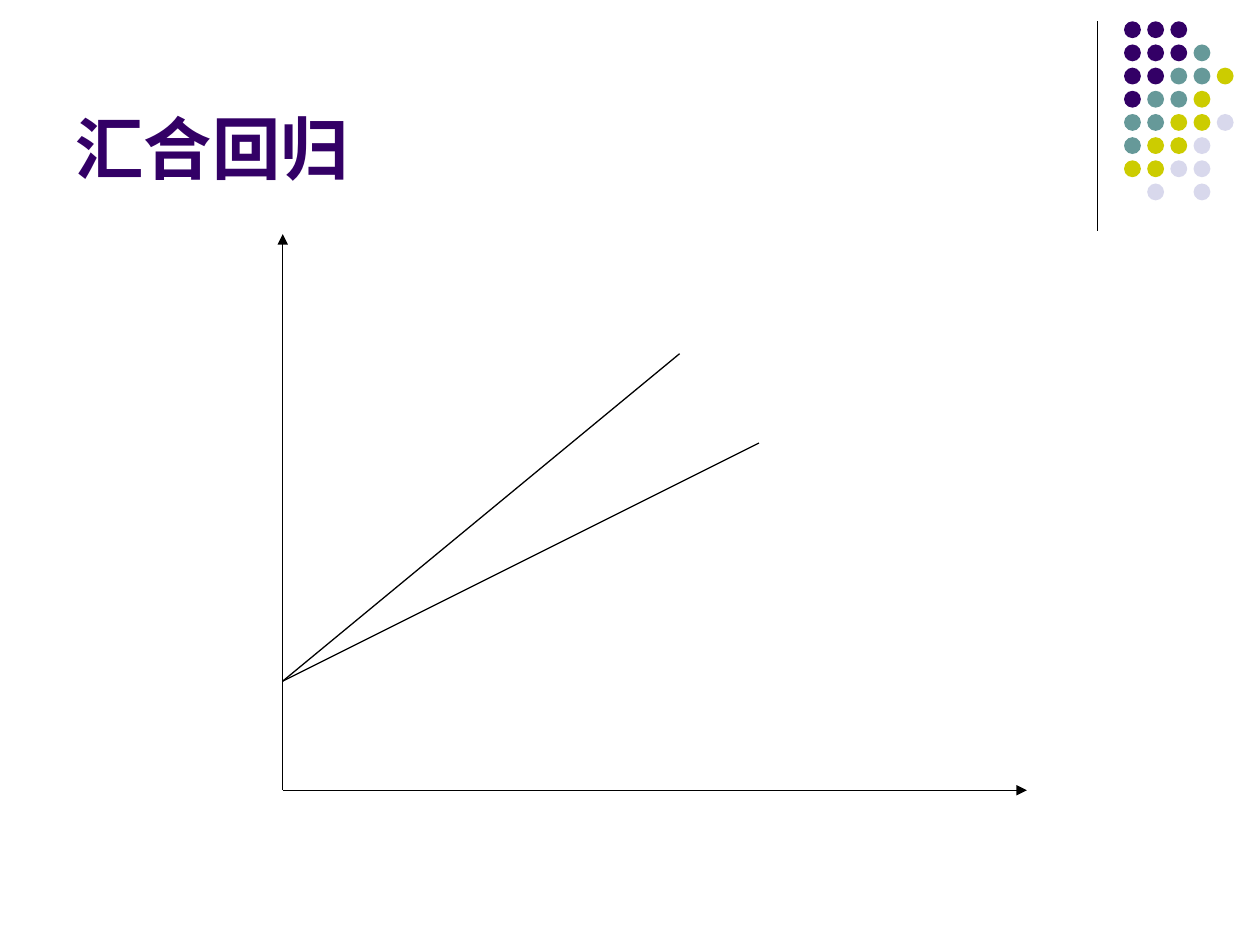
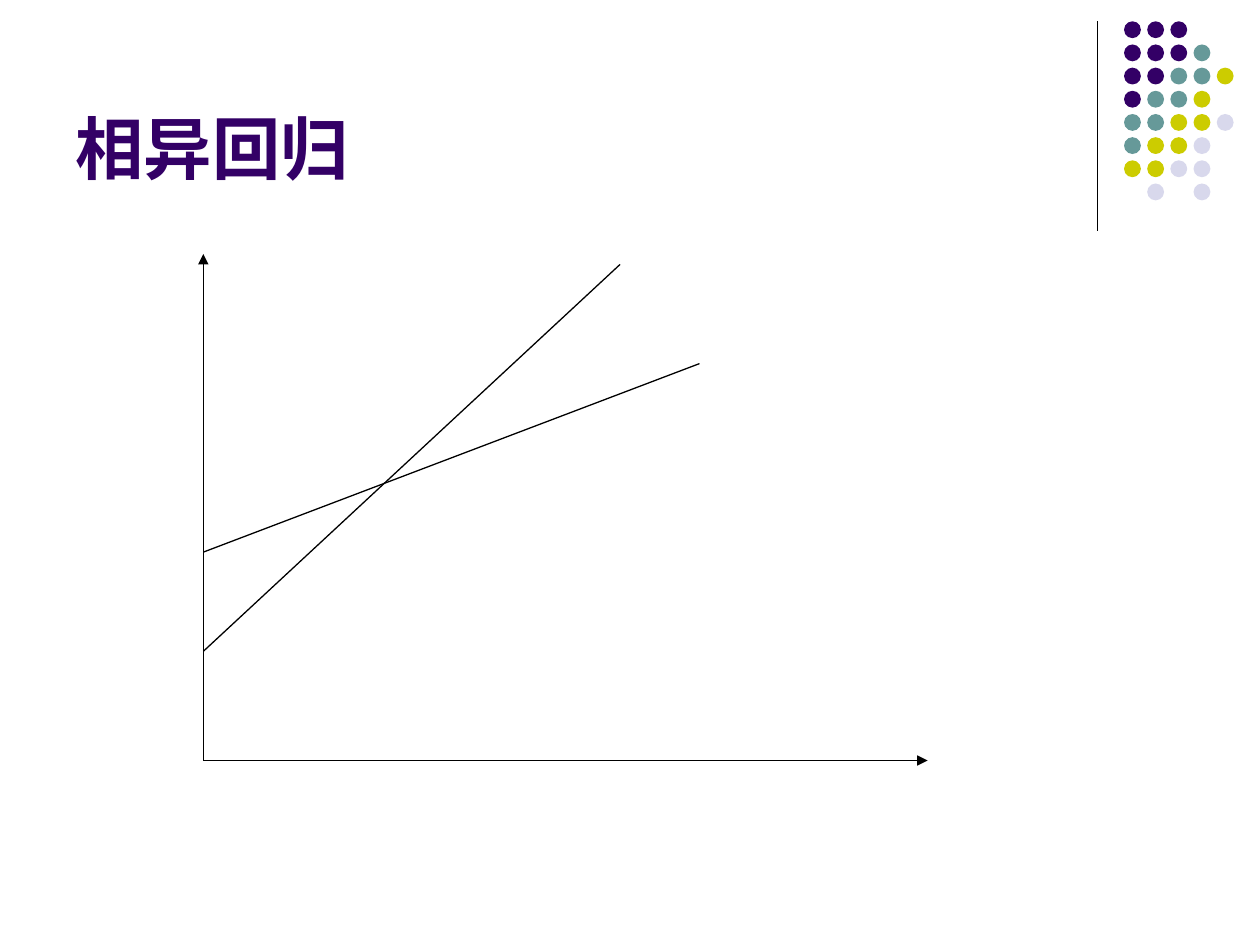
from lxml.etree import SubElement
from pptx import Presentation
from pptx.dml.color import RGBColor
from pptx.enum.shapes import MSO_CONNECTOR, MSO_SHAPE
from pptx.enum.text import MSO_ANCHOR, MSO_AUTO_SIZE, PP_ALIGN
from pptx.oxml.ns import qn
from pptx.util import Cm, Pt

BLACK = RGBColor(0x00, 0x00, 0x00)
PURPLE = RGBColor(0x33, 0x00, 0x66)
TEAL = RGBColor(0x66, 0x99, 0x99)
OLIVE = RGBColor(0xCC, 0xCC, 0x00)
PALE = RGBColor(0xD8, 0xD8, 0xEC)

FONT = "Arial"
HUES = {"p": PURPLE, "t": TEAL, "o": OLIVE, "l": PALE}
DOTS = ["ppp", "pppt", "pptto", "ptto", "ttool", "tool", "ooll", " l l"]
PITCH = 3.27 / 7


def write(frame, text, size=39, color=PURPLE, bold=True, align=PP_ALIGN.LEFT):
    para = frame.paragraphs[0]
    para.alignment = align
    run = para.add_run()
    run.text = text
    font = run.font
    font.name, font.size, font.bold = FONT, Pt(size), bold
    font.color.rgb = color
    # Chinese glyphs take their typeface from the East Asian slot
    SubElement(run._r.get_or_add_rPr(), qn("a:ea"), typeface=FONT)


class Deck:
    def __init__(self):
        self.prs = Presentation()
        self.prs.slide_width, self.prs.slide_height = Cm(25.4), Cm(19.05)
        self.slide = None

    def page(self, title):
        """Start a slide with its title, side rule and dot pattern."""
        self.slide = self.prs.slides.add_slide(self.prs.slide_layouts[5])
        self.title(title)
        self.line((22.12, 0.43), (22.12, 4.65))
        for row, marks in enumerate(DOTS):
            for col, mark in enumerate(marks):
                if mark in HUES:
                    self.dot(22.66 + col * PITCH, 0.43 + row * PITCH, HUES[mark])

    def title(self, text):
        box = self.slide.shapes.title
        box.left, box.top = Cm(1.27), Cm(0.33)
        box.width, box.height = Cm(20.95), Cm(3.6)
        frame = box.text_frame
        frame.auto_size = MSO_AUTO_SIZE.NONE
        frame.word_wrap = True
        frame.vertical_anchor = MSO_ANCHOR.BOTTOM
        write(frame, text)

    def dot(self, left, top, color):
        dot = self.slide.shapes.add_shape(
            MSO_SHAPE.OVAL, Cm(left), Cm(top), Cm(0.34), Cm(0.34))
        dot.shadow.inherit = False
        dot.fill.solid()
        dot.fill.fore_color.rgb = color
        dot.line.fill.background()

    def line(self, start, end, arrow=False):
        ends = [Cm(value) for value in (*start, *end)]
        line = self.slide.shapes.add_connector(MSO_CONNECTOR.STRAIGHT, *ends)
        line.line.color.rgb = BLACK
        line.line.width = Pt(0.75)
        if arrow:
            SubElement(line.line._get_or_add_ln(), qn("a:tailEnd"), type="triangle")
        SubElement(line._element.spPr, qn("a:effectLst"))

    def graph(self, origin, top, right, trends):
        """Draw both axes, then trends given as (start height, end point)."""
        left, base = origin
        self.line(origin, (left, top), arrow=True)
        self.line(origin, (right, base), arrow=True)
        for height, end in trends:
            self.line((left, height), end)


def main():
    deck = Deck()
    deck.page("汇合回归")
    deck.graph((5.7, 15.93), 4.72, 20.7,
               [(13.73, (13.7, 7.13)), (13.73, (15.3, 8.93))])
    deck.page("相异回归")
    deck.graph((4.1, 15.33), 5.12, 18.7,
               [(11.13, (14.1, 7.33)), (13.13, (12.5, 5.33))])
    deck.prs.save("out.pptx")


if __name__ == "__main__":
    main()
